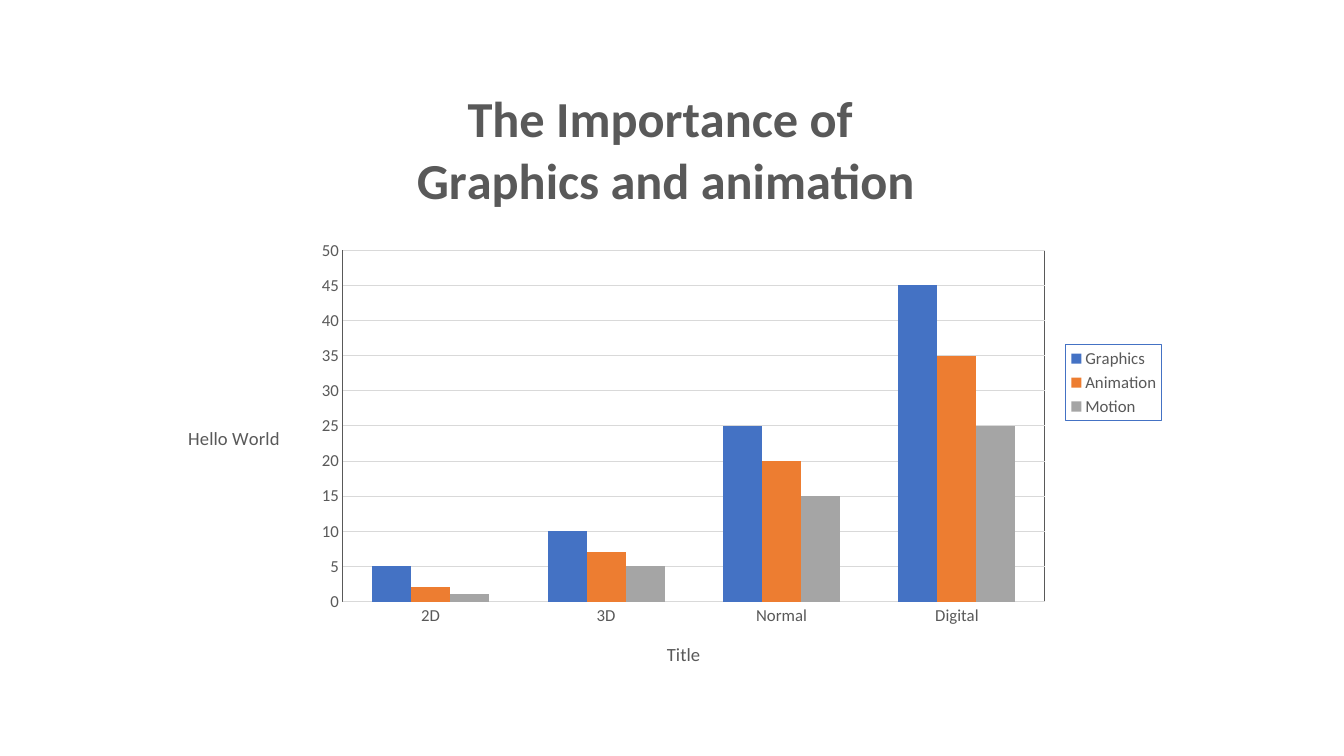
from lxml import etree
from pptx import Presentation
from pptx.chart.data import CategoryChartData
from pptx.dml.color import RGBColor
from pptx.enum.chart import XL_CHART_TYPE as ChartType
from pptx.enum.chart import XL_LEGEND_POSITION as LegendPos
from pptx.enum.chart import XL_TICK_MARK as TickMark
from pptx.oxml import parse_xml
from pptx.oxml.ns import nsdecls, qn
from pptx.util import Cm, Pt

FONT = "Calibri"
TEXT = RGBColor(0x59, 0x59, 0x59)
GRID = RGBColor(0xD9, 0xD9, 0xD9)
BLUE = RGBColor(0x44, 0x72, 0xC4)
ORANGE = RGBColor(0xED, 0x7D, 0x31)
GREY = RGBColor(0xA5, 0xA5, 0xA5)

CHART_X, CHART_Y, CHART_W, CHART_H = Cm(4.39), Cm(1.93), Cm(25.1), Cm(15.42)


def place(element, left, top, width=None, height=None):
    """Fix a chart part at a position given on the slide."""
    for old in element.findall(qn("c:layout")):
        element.remove(old)
    layout = etree.Element(qn("c:layout"))
    element.insert(0 if element.find(qn("c:tx")) is None else 1, layout)
    manual = etree.SubElement(layout, qn("c:manualLayout"))
    settings = [("xMode", "edge"), ("yMode", "edge"),
                ("x", (left - CHART_X) / CHART_W), ("y", (top - CHART_Y) / CHART_H)]
    if width is not None:
        settings.insert(0, ("layoutTarget", "inner"))
        settings += [("w", width / CHART_W), ("h", height / CHART_H)]
    for tag, value in settings:
        etree.SubElement(manual, qn(f"c:{tag}")).set("val", str(value))


def write_title(title, lines, size, bold, left, top):
    tf = title.text_frame
    for i, line in enumerate(lines):
        p = tf.paragraphs[0] if i == 0 else tf.add_paragraph()
        r = p.add_run()
        r.text = line
        for font in (p.font, r.font):
            font.name, font.size, font.bold = FONT, Pt(size), bold
            font.color.rgb = TEXT
    place(title._element, left, top)


prs = Presentation()
prs.slide_width, prs.slide_height = Cm(33.87), Cm(19.05)
slide = prs.slides.add_slide(prs.slide_layouts[6])

# Data
data = CategoryChartData()
data.categories = ["2D", "3D", "Normal", "Digital"]
data.add_series("Graphics", (5, 10, 25, 45))
data.add_series("Animation", (2, 7, 20, 35))
data.add_series("Motion", (1, 5, 15, 25))
chart = slide.shapes.add_chart(
    ChartType.COLUMN_CLUSTERED, CHART_X, CHART_Y, CHART_W, CHART_H, data).chart
chart.font.name = FONT
chart.font.size = Pt(12)
chart.font.color.rgb = TEXT

# Columns
plot = chart.plots[0]
plot.gap_width = 150
plot.overlap = 0
plot.vary_by_categories = False
for series, color in zip(plot.series, (BLUE, ORANGE, GREY)):
    series.format.fill.solid()
    series.format.fill.fore_color.rgb = color

# Axes
cat_axis, val_axis = chart.category_axis, chart.value_axis
for axis in (cat_axis, val_axis):
    axis.major_tick_mark = axis.minor_tick_mark = TickMark.NONE
    axis.format.line.fill.background()
    axis.tick_labels.font.name = FONT
    axis.tick_labels.font.size = Pt(12)
    axis.tick_labels.font.color.rgb = TEXT
val_axis.minimum_scale, val_axis.maximum_scale = 0, 50
val_axis.major_unit = 5
val_axis.has_major_gridlines = True
val_axis.major_gridlines.format.line.color.rgb = GRID
val_axis.major_gridlines.format.line.width = Pt(0.75)

# Titles
chart.has_title = True
write_title(chart.chart_title, ["The Importance of ", "Graphics and animation"],
            36, True, Cm(10.43), Cm(2.12))
write_title(cat_axis.axis_title, ["Title"], 13.3, False, Cm(16.72), Cm(16.08))
write_title(val_axis.axis_title, ["Hello World"], 13.3, False, Cm(4.66), Cm(10.63))
body = val_axis.axis_title.text_frame._txBody.find(qn("a:bodyPr"))
body.set("rot", "0")
body.set("vert", "horz")

# Plot area and legend, each with a thin border
chart.has_legend = True
chart.legend.position = LegendPos.RIGHT
chart.legend.include_in_layout = False
chart.legend.font.name = FONT
chart.legend.font.size = Pt(12)
chart.legend.font.color.rgb = TEXT
plot_area = chart._chartSpace.chart.plotArea
place(plot_area, Cm(8.64), Cm(6.31), Cm(17.69), Cm(8.85))
legend = chart.legend._element
for element, color in ((plot_area, TEXT), (legend, BLUE)):
    border = parse_xml(
        f'<c:spPr {nsdecls("c", "a")}><a:noFill/><a:ln w="9525"><a:solidFill>'
        f'<a:srgbClr val="{color}"/></a:solidFill></a:ln></c:spPr>')
    text_props = element.find(qn("c:txPr"))
    if text_props is None:
        element.append(border)
    else:
        text_props.addprevious(border)

prs.save("out.pptx")
